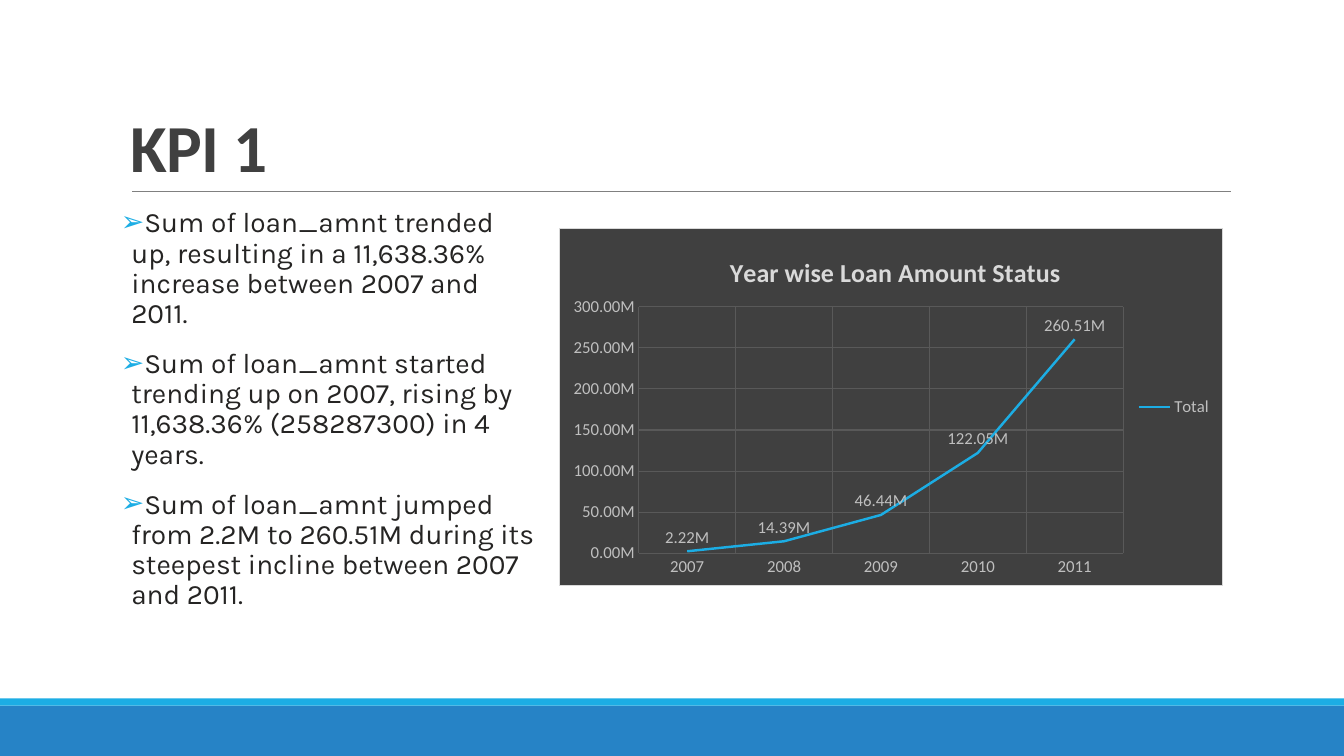
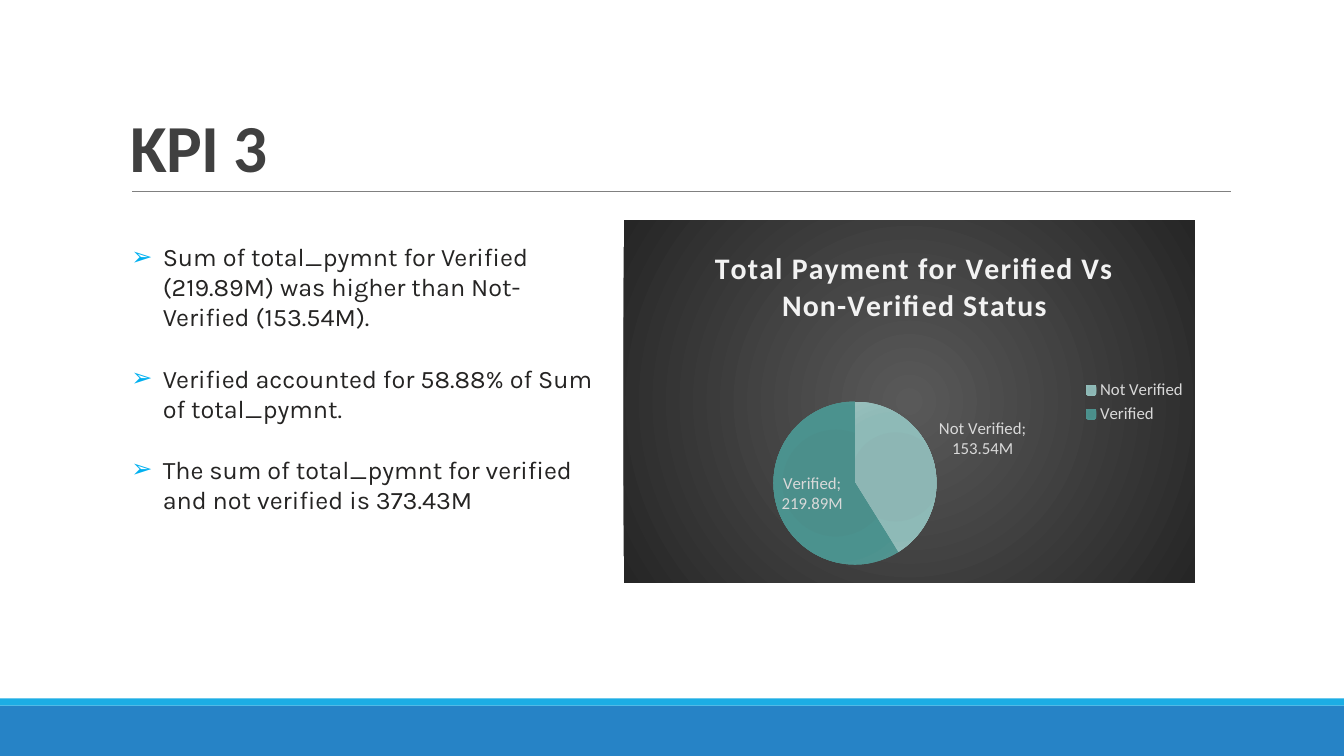
from collections import namedtuple

from pptx import Presentation
from pptx.chart.data import CategoryChartData
from pptx.dml.color import RGBColor
from pptx.enum.chart import XL_CHART_TYPE, XL_LABEL_POSITION, XL_LEGEND_POSITION, XL_TICK_MARK
from pptx.enum.shapes import MSO_CONNECTOR, MSO_SHAPE
from pptx.enum.text import MSO_ANCHOR, MSO_AUTO_SIZE, PP_ALIGN
from pptx.oxml import parse_xml
from pptx.oxml.ns import nsdecls, qn
from pptx.util import Emu, Pt

PX = 9525
PAGE_WIDTH, PAGE_HEIGHT = 1280, 720
COLORS = {
    "band": "2683C6",
    "accent": "1CADE4",
    "bullet": "00B0F0",
    "rule": "808080",
    "title": "404040",
    "body": "252423",
    "panel": "404040",
    "border": "D9D9D9",
    "grid": "595959",
    "line_text": "BFBFBF",
    "line_title": "D9D9D9",
    "pie_text": "D9D9D9",
    "pie_title": "F2F2F2",
}
PIE_PANEL = [(0, "595959"), (100, "262626")]
PIE_SLICES = [
    [(0, "8BB5B2"), (34, "8DB6B4"), (70, "8EBAB7"), (100, "99BFBC")],
    [(0, "498F8B"), (34, "4B8F8B"), (70, "4B928E"), (100, "549490")],
]
MILLIONS = '0.00,,"M"'
TITLE_FONT = {"name": "Calibri", "size": Pt(48), "bold": True}
CHART_FONT = {"name": "Calibri", "size": Pt(12)}

Box = namedtuple("Box", "left top width height")
TITLE_BOX = Box(115, 30, 1056, 152)

LINE_BODY = {
    "margin": 0, "size": 20, "indent": 10, "bullet": "accent",
    "spacing": {"line_spacing": 0.9, "space_after": Pt(2)}, "gap": 12,
}
PIE_BODY = {
    "margin": 10, "size": 18, "indent": 30, "bullet": "bullet",
    "spacing": {"line_spacing": 1.0, "space_after": Pt(0)}, "gap": 22,
}


def px(value):
    return Emu(value * PX)


def color(name):
    return RGBColor.from_string(COLORS[name])


def apply(target, values):
    for name, value in values.items():
        setattr(target, name, value)


def scaled(box):
    return [px(value) for value in box]


def move(shape, box):
    apply(shape, dict(zip(box._fields, scaled(box))))


def set_font(font, values, color_name):
    apply(font, values)
    font.color.rgb = color(color_name)


def add_band(page, box, color_name):
    band = page.shapes.add_shape(MSO_SHAPE.RECTANGLE, *scaled(box))
    band.shadow.inherit = False
    band.fill.solid()
    band.fill.fore_color.rgb = color(color_name)
    band.line.fill.background()


def add_frame(page):
    add_band(page, Box(0, 672, PAGE_WIDTH, 48), "band")
    add_band(page, Box(0, 665, PAGE_WIDTH, 7), "accent")
    rule = page.shapes.add_connector(MSO_CONNECTOR.STRAIGHT, px(126), px(182), px(1172), px(182))
    rule.line.color.rgb = color("rule")
    rule.line.width = Pt(0.5)
    rule._element.spPr.append(parse_xml(f"<a:effectLst {nsdecls('a')}/>"))


def add_title(page, text):
    title = page.shapes.title
    move(title, TITLE_BOX)
    apply(title.text_frame, {
        "auto_size": MSO_AUTO_SIZE.NONE, "vertical_anchor": MSO_ANCHOR.BOTTOM, "word_wrap": True,
    })
    para = title.text_frame.paragraphs[0]
    apply(para, {"alignment": PP_ALIGN.LEFT, "line_spacing": 0.85})
    span = para.add_run()
    span.text = text
    set_font(span.font, TITLE_FONT, "title")
    span.font._element.set("spc", "-50")


def add_bullet(para, indent, color_name):
    properties = para._p.get_or_add_pPr()
    properties.set("marL", str(px(indent)))
    properties.set("indent", str(-px(indent)))
    for xml in (
        f'<a:buClr {nsdecls("a")}><a:srgbClr val="{COLORS[color_name]}"/></a:buClr>',
        f'<a:buChar {nsdecls("a")} char="➢"/>',
    ):
        properties.append(parse_xml(xml))


def add_findings(page, box, lines, style):
    body = page.placeholders[1]
    move(body, box)
    frame = body.text_frame
    apply(frame, {
        "auto_size": MSO_AUTO_SIZE.NONE, "vertical_anchor": MSO_ANCHOR.TOP, "word_wrap": True,
        "margin_left": px(style["margin"]), "margin_right": px(style["margin"]),
    })
    for index, line in enumerate(lines):
        para = frame.add_paragraph() if index else frame.paragraphs[0]
        apply(para, style["spacing"])
        para.space_before = Pt(style["gap"] if index else 0)
        add_bullet(para, style["indent"], style["bullet"])
        span = para.add_run()
        span.text = line
        set_font(span.font, {"name": "Karla", "size": Pt(style["size"])}, "body")


def solid_xml(hex_color):
    return f'<a:solidFill><a:srgbClr val="{hex_color}"/></a:solidFill>'


def radial_xml(stops, focus):
    steps = "".join(
        f'<a:gs pos="{position * 1000}"><a:srgbClr val="{hex_color}"/></a:gs>'
        for position, hex_color in stops
    )
    edges = " ".join(f'{side}="{focus * 1000}"' for side in "ltrb")
    return (
        f'<a:gradFill rotWithShape="1"><a:gsLst>{steps}</a:gsLst>'
        f'<a:path path="circle"><a:fillToRect {edges}/></a:path></a:gradFill>'
    )


def shape_properties(fill, line="<a:ln><a:noFill/></a:ln>"):
    return parse_xml(f'<c:spPr {nsdecls("c", "a")}>{fill}{line}</c:spPr>')


def set_panel(chart, properties):
    chart.element.xpath("c:chart")[0].addnext(properties)


def set_layout(chart, part, index, inner=False, **fractions):
    parent = chart.element.xpath(f"c:chart/c:{part}")[0]
    for old in parent.findall(qn("c:layout")):
        parent.remove(old)
    target = '<c:layoutTarget val="inner"/>' if inner else ""
    modes = "".join(f'<c:{axis}Mode val="edge"/>' for axis in "xy")
    values = "".join(f'<c:{name} val="{value}"/>' for name, value in fractions.items())
    parent.insert(index, parse_xml(
        f'<c:layout {nsdecls("c")}><c:manualLayout>{target}{modes}{values}</c:manualLayout></c:layout>'
    ))


def add_base_chart(page, kind, box, title, title_size, name, values, theme):
    data = CategoryChartData(number_format=MILLIONS)
    data.categories = list(values)
    data.add_series(name, list(values.values()))
    chart = page.shapes.add_chart(kind, *scaled(box), data).chart
    set_font(chart.font, CHART_FONT, f"{theme}_text")
    chart.has_title = True
    span = chart.chart_title.text_frame.paragraphs[0].add_run()
    span.text = title
    set_font(span.font, {"name": "Calibri", "size": Pt(title_size), "bold": True}, f"{theme}_title")
    chart.has_legend = True
    apply(chart.legend, {"position": XL_LEGEND_POSITION.RIGHT, "include_in_layout": False})
    set_font(chart.legend.font, CHART_FONT, f"{theme}_text")
    labels = chart.plots[0].series[0].data_labels
    apply(labels, {"show_value": True, "number_format": MILLIONS, "number_format_is_linked": False})
    set_font(labels.font, CHART_FONT, f"{theme}_text")
    return chart, span, labels


def add_line_chart(page, box, title, values):
    chart, _, labels = add_base_chart(
        page, XL_CHART_TYPE.LINE, box, title, 18.6, "Total", values, "line")
    labels.position = XL_LABEL_POSITION.ABOVE
    chart.plots[0].vary_by_categories = False
    series = chart.plots[0].series[0]
    series.smooth = False
    series.format.line.color.rgb = color("accent")
    series.format.line.width = Pt(1.75)
    for axis in (chart.category_axis, chart.value_axis):
        apply(axis, {"major_tick_mark": XL_TICK_MARK.NONE, "has_major_gridlines": True})
        axis.format.line.fill.background()
        axis.major_gridlines.format.line.color.rgb = color("grid")
        axis.major_gridlines.format.line.width = Pt(0.75)
        set_font(axis.tick_labels.font, CHART_FONT, "line_text")
    apply(chart.value_axis, {"minimum_scale": 0, "maximum_scale": 300000000, "major_unit": 50000000})
    apply(chart.value_axis.tick_labels, {"number_format": MILLIONS, "number_format_is_linked": False})
    border = f'<a:ln w="{Pt(0.75)}">{solid_xml(COLORS["border"])}</a:ln>'
    set_panel(chart, shape_properties(solid_xml(COLORS["panel"]), border))
    set_layout(chart, "title", 1, x=0.25, y=0.06)
    set_layout(chart, "plotArea", 0, inner=True, x=0.12, y=0.22, w=0.73, h=0.69)


def add_pie_chart(page, box, title, values):
    chart, span, labels = add_base_chart(
        page, XL_CHART_TYPE.PIE, box, title, 21.3, "Series 1", values, "pie")
    span.font._element.set("spc", "100")
    apply(labels, {"show_category_name": True, "position": XL_LABEL_POSITION.BEST_FIT})
    chart.plots[0].vary_by_categories = True
    series = chart.plots[0].series[0]
    for index, stops in enumerate(PIE_SLICES):
        series.points[index].format.fill.solid()
        old = chart.element.xpath(f".//c:dPt[c:idx/@val='{index}']/c:spPr")[0]
        old.getparent().replace(old, shape_properties(radial_xml(stops, 100)))
    set_panel(chart, shape_properties(radial_xml(PIE_PANEL, 50)))
    set_layout(chart, "title", 1, x=0.15, y=0.06)
    set_layout(chart, "legend", 1, x=0.8, y=0.43)
    set_layout(chart, "plotArea", 0, inner=True, x=0.26, y=0.5, w=0.29, h=0.45)


def add_page(deck, title, lines, body_box, body_style):
    page = deck.slides.add_slide(deck.slide_layouts[1])
    add_frame(page)
    add_title(page, title)
    add_findings(page, body_box, lines, body_style)
    return page


def main():
    deck = Presentation()
    apply(deck, {"slide_width": px(PAGE_WIDTH), "slide_height": px(PAGE_HEIGHT)})

    page = add_page(deck, "KPI 1", [
        "Sum of loan_amnt trended up, resulting in a 11,638.36% increase between 2007 and 2011.",
        "Sum of loan_amnt started trending up on 2007, rising by 11,638.36% (258287300) in 4 years.",
        "Sum of loan_amnt jumped from 2.2M to 260.51M during its steepest incline between 2007 and 2011.",
    ], Box(115, 194, 397, 422), LINE_BODY)
    add_line_chart(page, Box(532, 217, 633, 341), "Year wise Loan Amount Status", {
        "2007": 2220000, "2008": 14390000, "2009": 46440000, "2010": 122050000, "2011": 260510000,
    })

    page = add_page(deck, "KPI 3", [
        "Sum of total_pymnt for Verified (219.89M) was higher than Not- Verified (153.54M).",
        "Verified accounted for 58.88% of Sum of total_pymnt.",
        "The sum of total_pymnt for verified and not verified is 373.43M",
    ], Box(115, 225, 461, 272), PIE_BODY)
    add_pie_chart(page, Box(594, 210, 544, 345), "Total Payment for Verified Vs Non-Verified Status", {
        "Not Verified": 153540000, "Verified": 219890000,
    })

    deck.save("out.pptx")


if __name__ == "__main__":
    main()
